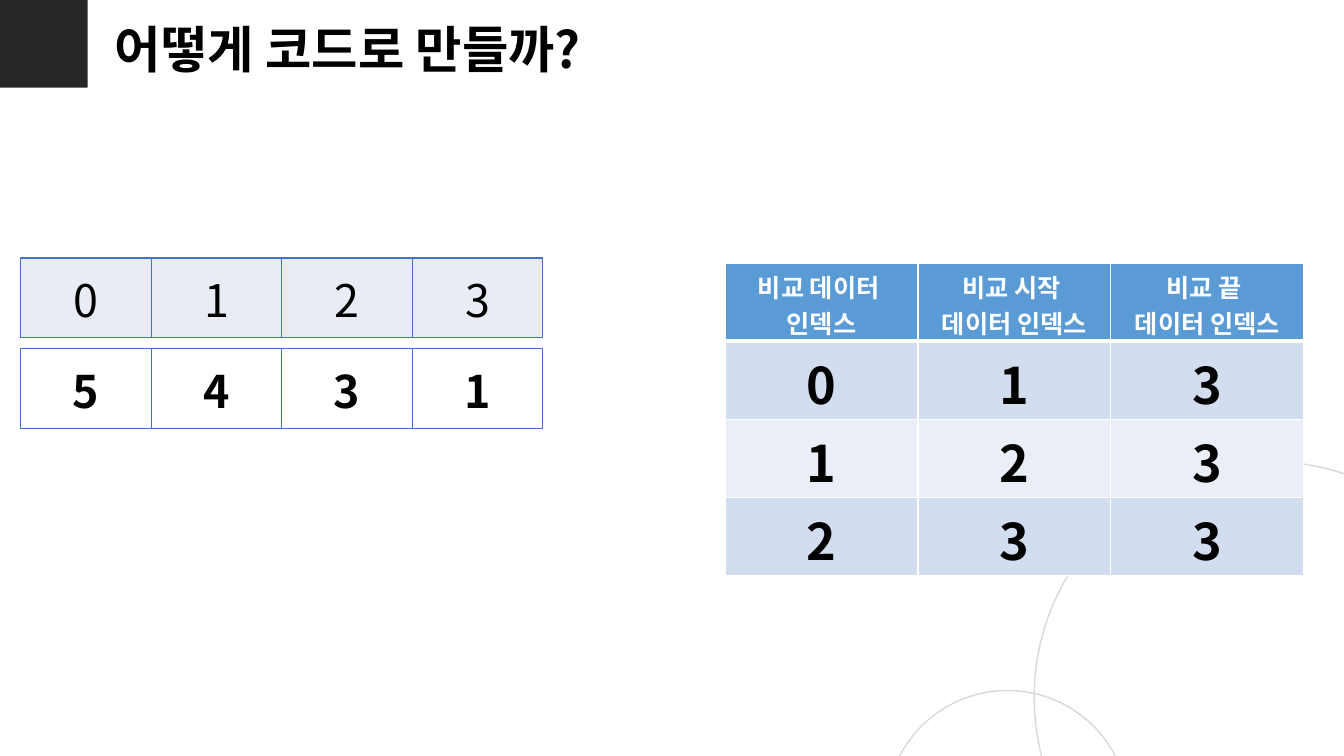
import pptx
import pptx.dml.color
import pptx.enum.shapes
import pptx.enum.text
import pptx.oxml.ns
import pptx.util
from lxml import etree

Pt = pptx.util.Pt
RGBColor = pptx.dml.color.RGBColor
ALIGN = pptx.enum.text.PP_ALIGN
ANCHOR = pptx.enum.text.MSO_ANCHOR
SHAPE = pptx.enum.shapes.MSO_SHAPE

FONT = "Noto Sans CJK SC"
BLACK = RGBColor(0x00, 0x00, 0x00)
WHITE = RGBColor(0xFF, 0xFF, 0xFF)
CHARCOAL = RGBColor(0x26, 0x26, 0x26)
CIRCLE_GRAY = RGBColor(0xD9, 0xD9, 0xD9)
ARRAY_BORDER = RGBColor(0x44, 0x72, 0xC4)
INDEX_FILL = RGBColor(0xE9, 0xEB, 0xF5)
HEADER_FILL = RGBColor(0x5B, 0x9B, 0xD5)
BAND_DARK = RGBColor(0xD2, 0xDE, 0xEF)
BAND_LIGHT = RGBColor(0xEA, 0xEF, 0xF7)

COMPARISON_ROWS = [
    ["비교 데이터 \v인덱스", "비교 시작 \v데이터 인덱스", "비교 끝 \v데이터 인덱스"],
    ["0", "1", "3"],
    ["1", "2", "3"],
    ["2", "3", "3"],
]


def write_text(frame, text, size, color=BLACK, bold=False, align=ALIGN.LEFT):
    """Write one paragraph with the given format."""
    paragraph = frame.paragraphs[0]
    paragraph.text = text
    paragraph.alignment = align
    for run in paragraph.runs:
        run.font.size = Pt(size)
        run.font.bold = bold
        run.font.color.rgb = color
        run.font.name = FONT
        east_asian = etree.SubElement(run.font._element, pptx.oxml.ns.qn("a:ea"))
        east_asian.set("typeface", FONT)


def set_borders(cell, color, top=1, bottom=1):
    """Draw the four borders of a cell, with widths in points."""
    properties = cell._tc.get_or_add_tcPr()
    for side, width in (("L", 1), ("R", 1), ("T", top), ("B", bottom)):
        line = etree.SubElement(properties, pptx.oxml.ns.qn(f"a:ln{side}"), w=str(Pt(width)))
        fill = etree.SubElement(line, pptx.oxml.ns.qn("a:solidFill"))
        etree.SubElement(fill, pptx.oxml.ns.qn("a:srgbClr"), val=str(color))


def fill_cell(cell, color):
    """Fill a cell, or clear it when there is no color."""
    if color is None:
        cell.fill.background()
    else:
        cell.fill.solid()
        cell.fill.fore_color.rgb = color


def add_grid(slide, left, top, width, height, rows, columns):
    """Add a table with equal rows and columns."""
    table = slide.shapes.add_table(
        rows, columns, Pt(left), Pt(top), Pt(width), Pt(height)).table
    for row in table.rows:
        row.height = Pt(height / rows)
    for column in table.columns:
        column.width = Pt(width / columns)
    return table


def add_circle(slide, left, top, diameter):
    """Add one outlined background circle."""
    circle = slide.shapes.add_shape(
        SHAPE.OVAL, Pt(left), Pt(top), Pt(diameter), Pt(diameter))
    circle.shadow.inherit = False
    circle.fill.background()
    circle.line.color.rgb = CIRCLE_GRAY
    circle.line.width = Pt(1)


def add_title(slide, left, top, side, text):
    """Add the dark corner square and the title beside it."""
    square = slide.shapes.add_shape(
        SHAPE.RECTANGLE, Pt(left), Pt(top), Pt(side), Pt(side))
    square.shadow.inherit = False
    square.fill.solid()
    square.fill.fore_color.rgb = CHARCOAL
    square.line.fill.background()
    title = slide.shapes.add_textbox(
        Pt(left + side + 12.24), Pt(top + 8.64), Pt(460.8), Pt(51.12))
    title.text_frame.word_wrap = True
    title.text_frame.vertical_anchor = ANCHOR.MIDDLE
    write_text(title.text_frame, text, size=36, bold=True)


def add_array(slide, left, top, width, height, values, fill=None, bold=False):
    """Add a one-row table of array values."""
    table = add_grid(slide, left, top, width, height, 1, len(values))
    for cell, value in zip(table.iter_cells(), values):
        cell.vertical_anchor = ANCHOR.MIDDLE
        set_borders(cell, ARRAY_BORDER)
        fill_cell(cell, fill)
        write_text(cell.text_frame, value, size=32, bold=bold, align=ALIGN.CENTER)


def add_comparison(slide, left, top, width, height, rows):
    """Add the banded table of comparison indexes."""
    table = add_grid(slide, left, top, width, height, len(rows), len(rows[0]))
    for row_index, values in enumerate(rows):
        header = row_index == 0
        band = BAND_DARK if row_index % 2 else BAND_LIGHT
        for column_index, value in enumerate(values):
            cell = table.cell(row_index, column_index)
            cell.vertical_anchor = ANCHOR.MIDDLE
            cell.margin_bottom = Pt(0)
            set_borders(cell, WHITE, top=3 if row_index == 1 else 1,
                        bottom=3 if header else 1)
            fill_cell(cell, HEADER_FILL if header else band)
            write_text(cell.text_frame, value, size=18 if header else 36,
                       color=WHITE if header else BLACK, bold=True, align=ALIGN.CENTER)


def main():
    """Build the slide and save it."""
    presentation = pptx.Presentation()
    presentation.slide_width = Pt(960)
    presentation.slide_height = Pt(540)
    slide = presentation.slides.add_slide(presentation.slide_layouts[6])
    add_circle(slide, 738.72, 329.76, 336.24)
    add_circle(slide, 632.88, 493.2, 173.52)
    add_title(slide, 0, 0, 62.64, "어떻게 코드로 만들까?")
    add_array(slide, 14.8, 184.32, 373, 57, ["0", "1", "2", "3"], fill=INDEX_FILL)
    add_array(slide, 14.8, 249.12, 373, 57, ["5", "4", "3", "1"], bold=True)
    add_comparison(slide, 517.9, 187.92, 413.4, 223.2, COMPARISON_ROWS)
    presentation.save("out.pptx")


if __name__ == "__main__":
    main()
